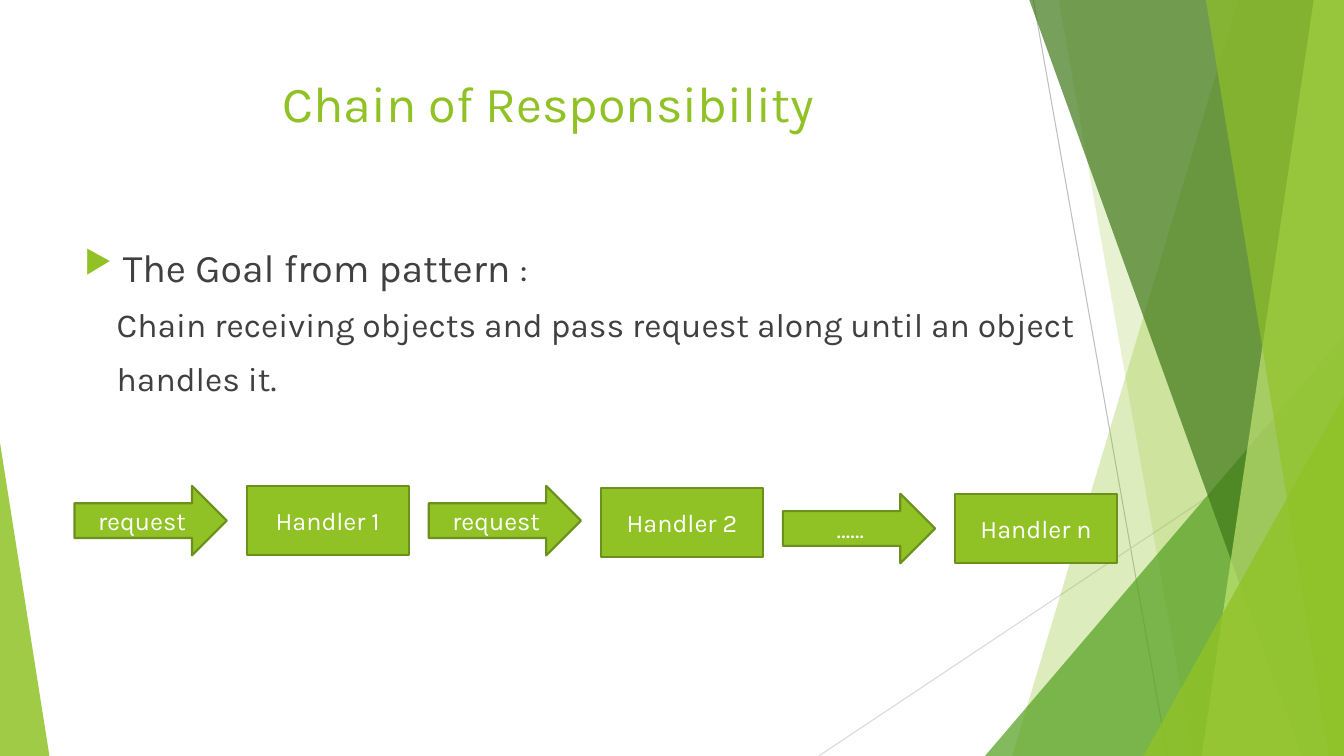
from lxml import etree
from pptx import Presentation, util as u
from pptx.dml.color import RGBColor
from pptx.enum import shapes, text
from pptx.oxml.ns import qn

COLORS = {"lime": "90C226", "green": "54A021", "forest": "3F7819", "pale": "C0E474",
          "border": "6B901C", "ink": "404040", "white": "FFFFFF",
          "gray": "BFBFBF", "silver": "D9D9D9"}


class SlideBuilder:
    """Draw styled elements on one slide, with lengths in percent of its size."""

    def __init__(self, presentation, font="Karla"):
        self.width, self.height = presentation.slide_width, presentation.slide_height
        self.slide = presentation.slides.add_slide(presentation.slide_layouts[6])
        self.font = font

    def x(self, share):
        return u.Emu(round(self.width * share / 100))

    def y(self, share):
        return u.Emu(round(self.height * share / 100))

    def box(self, left, top, width, height):
        return self.x(left), self.y(top), self.x(width), self.y(height)

    def color(self, name):
        return RGBColor.from_string(COLORS[name])

    def paint(self, shape, fill, opacity=100, border=None):
        shape.shadow.inherit = False
        shape.fill.solid()
        shape.fill.fore_color.rgb = self.color(fill)
        if opacity < 100:
            tint = shape.element.spPr.find(qn("a:solidFill"))[0]
            etree.SubElement(tint, qn("a:alpha"), val=str(opacity * 1000))
        if border:
            shape.line.color.rgb = self.color(border)
            shape.line.width = u.Pt(1.5)
        else:
            shape.line.fill.background()

    def line(self, start, end, color):
        connector = self.slide.shapes.add_connector(
            shapes.MSO_CONNECTOR.STRAIGHT, self.x(start[0]), self.y(start[1]),
            self.x(end[0]), self.y(end[1]))
        connector.line.color.rgb = self.color(color)
        connector.line.width = u.Pt(0.75)
        etree.SubElement(connector.element.spPr, qn("a:effectLst"))

    def facet(self, top_left, bottom_left, fill, opacity):
        builder = self.slide.shapes.build_freeform(self.x(top_left), 0)
        builder.add_line_segments([(self.x(100), 0), (self.x(100), self.y(100)),
                                   (self.x(bottom_left), self.y(100))])
        self.paint(builder.convert_to_shape(), fill, opacity)

    def corner(self, left, top, width, apex, fill, opacity):
        triangle = self.slide.shapes.add_shape(
            shapes.MSO_SHAPE.ISOSCELES_TRIANGLE, *self.box(left, top, width, 100 - top))
        triangle.adjustments[0] = apex
        self.paint(triangle, fill, opacity)

    def fill_paragraph(self, paragraph, words, size, color, align=None):
        paragraph.text = words
        paragraph.alignment = align
        font = paragraph.font
        font.name, font.size = self.font, u.Pt(size)
        font.color.rgb = self.color(color)

    def text_box(self, left, top, width, height):
        frame = self.slide.shapes.add_textbox(*self.box(left, top, width, height)).text_frame
        frame.word_wrap = True
        return frame

    def title(self, words, *place):
        frame = self.text_box(*place)
        self.fill_paragraph(frame.paragraphs[0], words, 36, "lime", text.PP_ALIGN.CENTER)

    def body(self, heading, mark, lines, *place):
        frame = self.text_box(*place)
        paragraph = frame.paragraphs[0]
        self.bullet(paragraph)
        self.fill_paragraph(paragraph, heading, 28, "ink")
        run = paragraph.add_run()
        run.text, run.font.size = mark, u.Pt(24)
        for words in lines:
            paragraph = frame.add_paragraph()
            paragraph.space_before = u.Pt(10)
            paragraph._p.get_or_add_pPr().set("marL", str(u.Inches(0.32)))
            self.fill_paragraph(paragraph, words, 24, "ink")

    def bullet(self, paragraph):
        properties = paragraph._p.get_or_add_pPr()
        properties.set("marL", str(u.Inches(0.38)))
        properties.set("indent", str(-u.Inches(0.38)))
        tint = etree.SubElement(properties, qn("a:buClr"))
        etree.SubElement(tint, qn("a:srgbClr"), val=COLORS["lime"])
        etree.SubElement(properties, qn("a:buSzPct"), val="80000")
        etree.SubElement(properties, qn("a:buChar"), char="▶")

    def step(self, kind, words, *place):
        shape = self.slide.shapes.add_shape(kind, *self.box(*place))
        self.paint(shape, "lime", border="border")
        frame = shape.text_frame
        frame.word_wrap = True
        frame.vertical_anchor = text.MSO_ANCHOR.MIDDLE
        self.fill_paragraph(frame.paragraphs[0], words, 18, "white", text.PP_ALIGN.CENTER)


def main():
    presentation = Presentation()
    presentation.slide_width, presentation.slide_height = u.Inches(13.33), u.Inches(7.5)
    page = SlideBuilder(presentation)

    page.line((76.89, 0), (86.87, 100), "gray")
    page.line((100, 53.73), (60.92, 100), "silver")
    page.facet(92.12, 75.32, "lime", 30)
    page.facet(78.77, 88.75, "lime", 20)
    page.corner(73.29, 44.4, 26.71, 1, "green", 72)
    page.facet(76.59, 96.85, "forest", 70)
    page.facet(97.75, 89.42, "pale", 70)
    page.facet(89.72, 98.87, "lime", 65)
    page.corner(85.07, 52.4, 14.93, 1, "lime", 80)
    page.corner(0, 58.53, 3.68, 0, "lime", 85)

    page.title("Chain of Responsibility", 5.55, 8.93, 70.52, 19.2)
    page.body("The Goal from pattern ", ":",
              ["Chain receiving objects and pass request along until an object",
               "handles it."], 5.55, 31.47, 82.45, 56.53)

    chain = [("request", 64.27, "Handler 1", 64.27),
             ("request", 64.27, "Handler 2", 64.5),
             ("……", 65.3, "Handler n", 65.3)]
    for index, (message, message_top, handler, handler_top) in enumerate(chain):
        left = 5.55 + 26.35 * index
        page.step(shapes.MSO_SHAPE.RIGHT_ARROW, message, left, message_top, 11.33, 9.2)
        page.step(shapes.MSO_SHAPE.RECTANGLE, handler, left + 12.8, handler_top, 12.08, 9.2)

    presentation.save("out.pptx")


if __name__ == "__main__":
    main()
